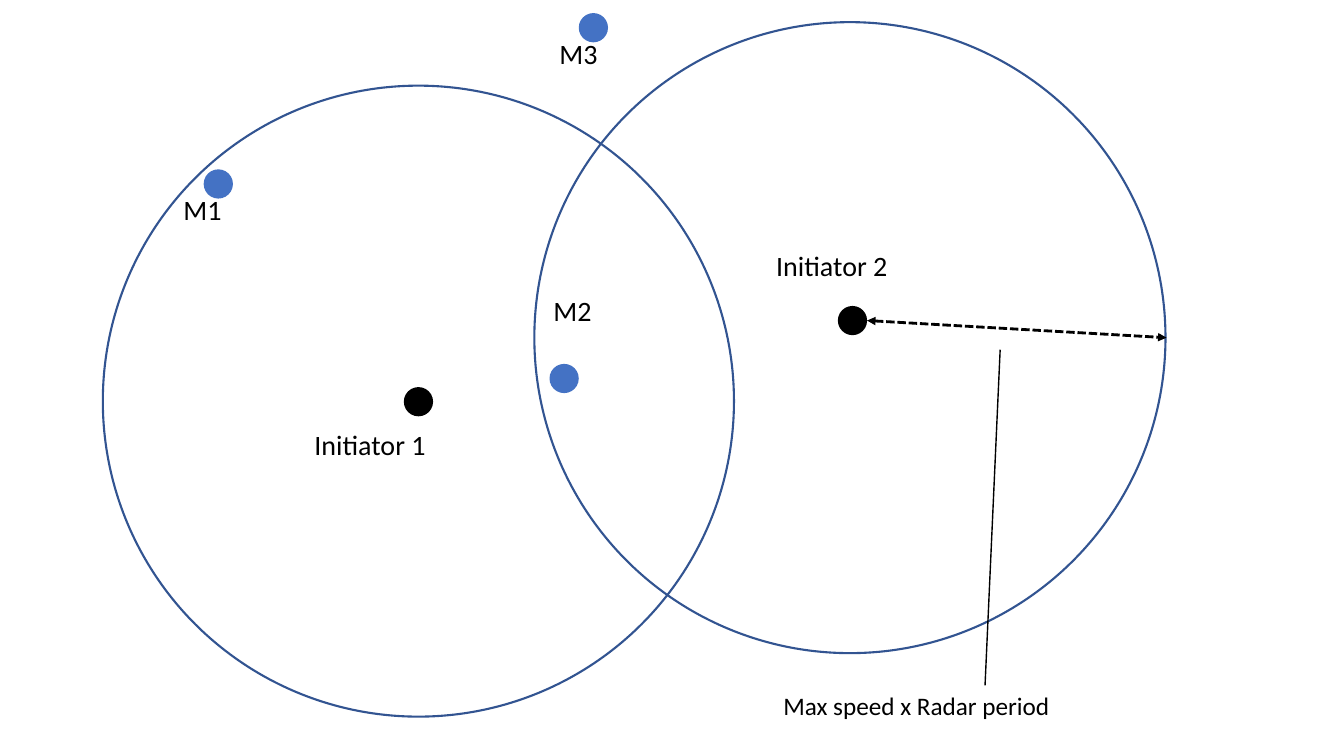
import pptx
import pptx.util
import pptx.dml.color
import pptx.enum.dml
import pptx.enum.shapes
import pptx.oxml.ns
import lxml.etree

BLACK = pptx.dml.color.RGBColor(0x00, 0x00, 0x00)
BLUE = pptx.dml.color.RGBColor(0x44, 0x72, 0xC4)
RING_BLUE = pptx.dml.color.RGBColor(0x32, 0x54, 0x91)

prs = pptx.Presentation()
prs.slide_width = pptx.util.Inches(13.33)
prs.slide_height = pptx.util.Inches(7.5)
COL = prs.slide_width / 133.3
ROW = prs.slide_height / 75
RADIUS = 31.3
DOT = 1.45
s = prs.slides.add_slide(prs.slide_layouts[6])


def add_text(text, x, y, width, height=6.4, size=20, color=BLACK, font="Calibri"):
    tb = s.shapes.add_textbox(int(x * COL), int(y * ROW), int(width * COL), int(height * ROW))
    tf = tb.text_frame
    tf.word_wrap = True
    r = tf.paragraphs[0].add_run()
    r.text = text
    r.font.size = pptx.util.Pt(size)
    r.font.name = font
    r.font.color.rgb = color


def add_circle(x, y, radius, fill=None, line=None):
    sp = s.shapes.add_shape(
        pptx.enum.shapes.MSO_SHAPE.OVAL,
        int((x - radius) * COL), int((y - radius) * ROW),
        int(2 * radius * COL), int(2 * radius * ROW))
    sp.shadow.inherit = False
    if fill is None:
        sp.fill.background()
    else:
        sp.fill.solid()
        sp.fill.fore_color.rgb = fill
    if line is None:
        sp.line.fill.background()
    else:
        sp.line.color.rgb = line
        sp.line.width = pptx.util.Pt(1.5)


for x, y in [(41.5, 39.8), (84.3, 33.5)]:
    add_circle(x, y, RADIUS, line=RING_BLUE)

for x, y, color in [
    (41.5, 39.85, BLACK),
    (84.55, 31.8, BLACK),
    (21.65, 18.25, BLUE),
    (55.95, 37.55, BLUE),
    (58.85, 2.75, BLUE),
]:
    add_circle(x, y, DOT, fill=color)

for text, x, y, width in [
    ("Initiator 1", 30.2, 41.9, 19.7),
    ("Initiator 2", 76, 24.2, 19.8),
    ("M1", 17.2, 18.6, 9.1),
    ("M2", 53.9, 28.6, 9.1),
    ("M3", 54.5, 3.1, 9.1),
]:
    add_text(text, x, y, width)
add_text("Max speed x Radar period", 76.7, 68, 41.9, height=5.9, size=18)

for x1, y1, x2, y2, width, is_range in [
    (86, 31.8, 115.7, 33.5, 2, True),
    (99.2, 34.7, 97.7, 68, 1, False),
]:
    cx = s.shapes.add_connector(
        pptx.enum.shapes.MSO_CONNECTOR.STRAIGHT,
        int(x1 * COL), int(y1 * ROW), int(x2 * COL), int(y2 * ROW))
    cx.line.color.rgb = BLACK
    cx.line.width = pptx.util.Pt(width)
    if is_range:
        cx.line.dash_style = pptx.enum.dml.MSO_LINE.SQUARE_DOT
        ln = cx.line._get_or_add_ln()
        for end in ("a:headEnd", "a:tailEnd"):
            lxml.etree.SubElement(ln, pptx.oxml.ns.qn(end), type="triangle")
    lxml.etree.SubElement(cx._element.spPr, pptx.oxml.ns.qn("a:effectLst"))

prs.save("out.pptx")
